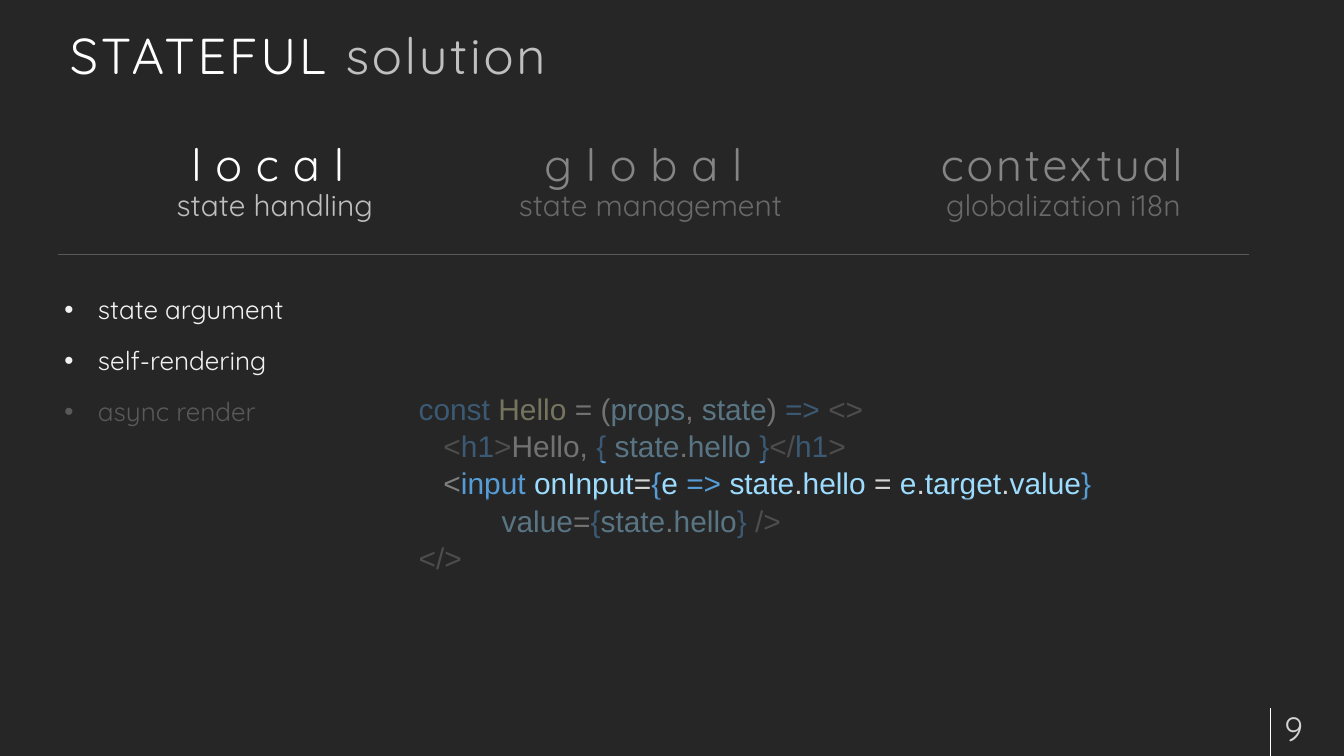
from dataclasses import dataclass
from typing import NamedTuple

from lxml.etree import SubElement
from pptx import Presentation
from pptx.dml.color import RGBColor
from pptx.enum.shapes import MSO_CONNECTOR, MSO_SHAPE
from pptx.enum.text import MSO_ANCHOR, PP_ALIGN
from pptx.oxml.ns import qn
from pptx.util import Pt

COLOURS = {
    "background": "262626",
    "white": "FFFFFF",
    "soft": "BFBFBF",
    "bullet": "F2F2F2",
    "dim": "595959",
    "keyword": "569CD6",
    "function": "DCDCAA",
    "plain": "D4D4D4",
    "name": "9CDCFE",
    "tag": "808080",
}
HEADING_FONT = "Quicksand"
CODE_FONT = "Arial"
MARGIN = 61.9


class Box(NamedTuple):
    left: float
    top: float
    width: float
    height: float


class Token(NamedTuple):
    text: str
    colour: str


@dataclass
class Scope:
    name: str
    detail: str
    left: float
    width: float
    spacing: float


SCOPES = [
    Scope("local", "state handling", 147.6, 293.8, 15),
    Scope("global", "state management", 539.3, 315.4, 15),
    Scope("contextual", "globalization i18n", 952.6, 373.7, 3),
]
FEATURES = [
    Token("state argument", "bullet"),
    Token("self-rendering", "bullet"),
    Token("async render", "dim"),
]
INDENT = Token("   ", "plain")
DOT = Token(".", "plain")
EQUALS = Token("=", "plain")
OPEN = Token("{", "keyword")
STATE = Token("state", "name")
HELLO = Token("hello", "name")
ARROW = Token("=> ", "keyword")
STATE_HELLO = [STATE, DOT, HELLO]
CODE = [
    [Token("const ", "keyword"), Token("Hello", "function"),
     Token(" = (", "plain"), Token("props", "name"), Token(", ", "plain"),
     STATE, Token(") ", "plain"), ARROW, Token("<>", "tag")],
    [INDENT, Token("<", "tag"), Token("h1", "keyword"), Token(">", "tag"),
     Token("Hello, ", "plain"), Token("{ ", "keyword"), *STATE_HELLO,
     Token(" }", "keyword"), Token("</", "tag"), Token("h1", "keyword"),
     Token(">", "tag")],
    [INDENT, Token("<", "tag"), Token("input ", "keyword"),
     Token("onInput", "name"), EQUALS, OPEN, Token("e ", "name"), ARROW,
     *STATE_HELLO, Token(" = ", "plain"), Token("e", "name"), DOT,
     Token("target", "name"), DOT, Token("value", "name"),
     Token("}", "keyword")],
    [Token("          ", "plain"), Token("value", "name"), EQUALS, OPEN,
     *STATE_HELLO, Token("} ", "keyword"), Token("/>", "tag")],
    [Token("</>", "tag")],
]
VEILS = [
    Box(525.6, 130.3, 782.6, 131),
    Box(356.4, 362.9, 891.4, 131),
    Box(388.1, 534.2, 891.4, 131),
]


def rgb(colour: str) -> RGBColor:
    return RGBColor.from_string(COLOURS[colour])


def set_opacity(fill_owner, percent: int) -> None:
    tint = next(fill_owner.iter(qn("a:srgbClr")))
    SubElement(tint, qn("a:alpha")).set("val", str(percent * 1000))


def style_run(run, colour: str, size: float, font: str = HEADING_FONT,
              spacing: float = 0) -> None:
    run.font.name = font
    run.font.size = Pt(size)
    run.font.color.rgb = rgb(colour)
    if spacing:
        run._r.get_or_add_rPr().set("spc", str(int(spacing * 100)))


def add_frame(slide, box: Box, inset: tuple[float, float] = (7.2, 3.6),
              anchor: MSO_ANCHOR = MSO_ANCHOR.TOP):
    frame = slide.shapes.add_textbox(*map(Pt, box)).text_frame
    frame.word_wrap = True
    frame.vertical_anchor = anchor
    frame.margin_left = frame.margin_right = Pt(inset[0])
    frame.margin_top = frame.margin_bottom = Pt(inset[1])
    return frame


def add_tokens(paragraph, tokens: list[Token], size: float,
               font: str = HEADING_FONT, spacing: float = 0) -> None:
    for token in tokens:
        run = paragraph.add_run()
        run.text = token.text
        style_run(run, token.colour, size, font, spacing)


def paragraph_at(frame, index: int):
    return frame.add_paragraph() if index else frame.paragraphs[0]


def add_rule(slide, start: tuple[float, float], end: tuple[float, float],
             colour: str) -> None:
    rule = slide.shapes.add_connector(
        MSO_CONNECTOR.STRAIGHT, *map(Pt, (*start, *end)))
    rule.line.color.rgb = rgb(colour)
    rule.line.width = Pt(0.75)
    SubElement(rule._element.spPr, qn("a:effectLst"))


def add_scope(slide, scope: Scope) -> None:
    frame = add_frame(slide, Box(scope.left, 149, scope.width, 92.9))
    label = frame.paragraphs[0]
    label.text = f"{scope.name}\v{scope.detail}"
    label.alignment = PP_ALIGN.CENTER
    label.line_spacing = 0.9
    name, detail = label.runs
    style_run(name, "white", 48, spacing=scope.spacing)
    style_run(detail, "soft", 32)


def add_features(slide) -> None:
    frame = add_frame(slide, Box(MARGIN, 294.5, 342, 354.2))
    for index, feature in enumerate(FEATURES):
        item = paragraph_at(frame, index)
        item.line_spacing = 1.5
        item.space_before = Pt(4 if index else 0)
        properties = item._p.get_or_add_pPr()
        properties.set("marL", str(Pt(36)))
        properties.set("indent", str(-Pt(36)))
        SubElement(properties, qn("a:buFont")).set("typeface", "Arial")
        SubElement(properties, qn("a:buChar")).set("char", "•")
        add_tokens(item, [feature], 28)


def add_code(slide) -> None:
    frame = add_frame(slide, Box(441.4, 413.3, 912.2, 200.9))
    for index, tokens in enumerate(CODE):
        line = paragraph_at(frame, index)
        line.line_spacing = 1.04
        add_tokens(line, tokens, 32, CODE_FONT)


def add_veil(slide, box: Box) -> None:
    veil = slide.shapes.add_shape(MSO_SHAPE.RECTANGLE, *map(Pt, box))
    veil.shadow.inherit = False
    veil.fill.solid()
    veil.fill.fore_color.rgb = rgb("background")
    veil.line.fill.background()
    set_opacity(veil._element.spPr, 56)


def main() -> None:
    deck = Presentation()
    deck.slide_width, deck.slide_height = Pt(1440), Pt(810)
    slide = deck.slides.add_slide(deck.slide_layouts[6])
    slide.background.fill.solid()
    slide.background.fill.fore_color.rgb = rgb("background")

    add_rule(slide, (1360.8, 758.9), (1360.8, 810), "white")
    title = add_frame(slide, Box(MARGIN, 0, 1296, 97.2), (13, 6.5),
                      MSO_ANCHOR.BOTTOM)
    add_tokens(title.paragraphs[0],
               [Token("STATEFUL ", "white"), Token("solution", "soft")],
               54, spacing=3)
    page = add_frame(slide, Box(1363, 758.9, 82.8, 43.2), (13, 6.5),
                     MSO_ANCHOR.MIDDLE)
    add_tokens(page.paragraphs[0], [Token("9", "white")], 36)
    set_opacity(page.paragraphs[0].runs[0]._r, 80)

    add_features(slide)
    add_rule(slide, (MARGIN, 272.9), (1337.8, 272.9), "dim")
    for scope in SCOPES:
        add_scope(slide, scope)
    add_code(slide)
    for box in VEILS:
        add_veil(slide, box)
    deck.save("out.pptx")


if __name__ == "__main__":
    main()
